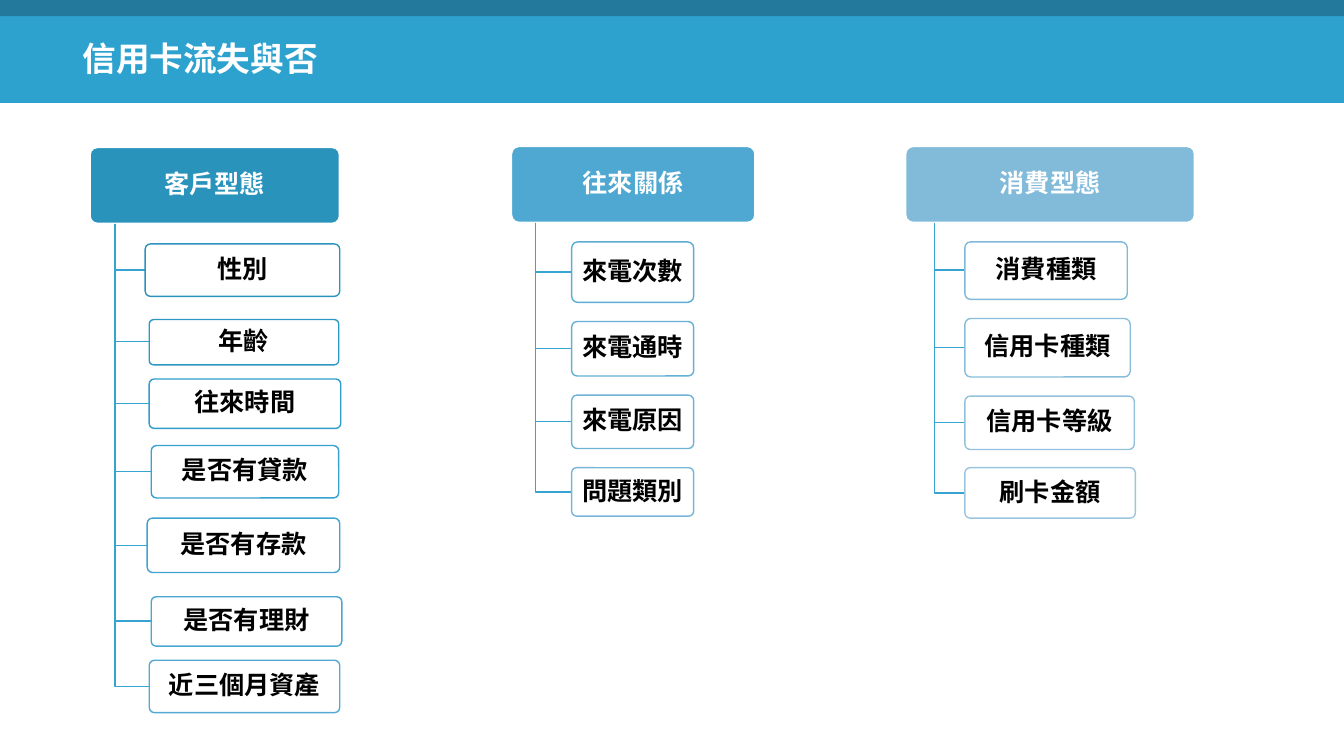
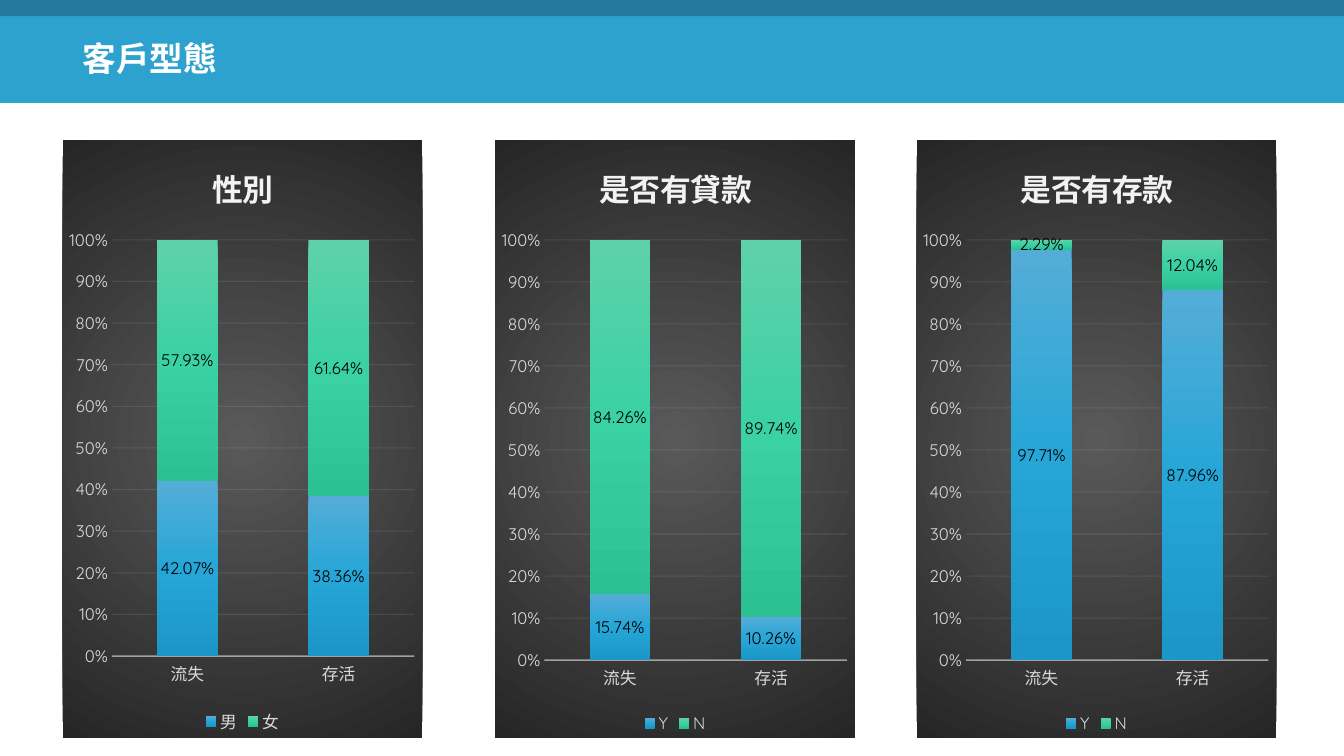
from lxml.etree import SubElement
from pptx import Presentation
from pptx.chart.data import CategoryChartData
from pptx.dml.color import RGBColor
from pptx.enum.chart import XL_CHART_TYPE, XL_LABEL_POSITION, XL_LEGEND_POSITION, XL_TICK_MARK
from pptx.enum.shapes import MSO_SHAPE
from pptx.enum.text import MSO_ANCHOR, PP_ALIGN
from pptx.oxml import parse_xml
from pptx.oxml.ns import nsdecls, qn
from pptx.util import Emu, Pt

EMU_PER_PX = 9144
PAGE_WIDTH, PAGE_HEIGHT = 1333, 750
TEXT_FONT, CHART_FONT = "Noto Sans CJK SC", "Quicksand"
WHITE, BLACK, PALE, LIGHT = "FFFFFF", "000000", "D9D9D9", "F2F2F2"
BAND, STRIP, TREE_LINE = "2EA2CF", "23799B", "37A3D0"
RADIAL = '<a:path path="circle"><a:fillToRect l="50000" t="50000" r="50000" b="50000"/></a:path>'
DOWNWARD = '<a:lin ang="5400000" scaled="0"/>'
BACKDROP = ((0, "595959"), (100, "262626"))
BLUE = ((0, "54ADD7"), (50, "26A6D7"), (100, "1B96C6"))
GREEN = ((0, "5FD1AA"), (50, "3AD1A3"), (100, "2CC193"))

TREES = [
    (("客戶型態", (89, 146, 248, 76), "2A93BC"), 114, [
        ("性別", (144, 242, 193, 52), "2A93BC"),
        ("年齡", (148, 317, 188, 45), "2D98C3"),
        ("往來時間", (148, 376, 190, 49), "309DCB"),
        ("是否有貸款", (150, 442, 186, 52), "37A1CF"),
        ("是否有存款", (146, 514, 191, 54), "40A3D0"),
        ("是否有理財", (150, 592, 189, 49), "4AA6D1"),
        ("近三個月資產", (148, 655, 189, 52), "53A9D2"),
    ]),
    (("往來關係", (507, 145, 242, 76), "4FA8D1"), 531, [
        ("來電次數", (567, 240, 121, 60), "5CACD3"),
        ("來電通時", (567, 319, 121, 54), "66AFD5"),
        ("來電原因", (567, 392, 121, 53), "6FB2D6"),
        ("問題類別", (567, 464, 121, 48), "78B6D8"),
    ]),
    (("消費型態", (898, 145, 287, 76), "82BADA"), 927, [
        ("消費種類", (957, 240, 161, 57), "81B9D9"),
        ("信用卡種類", (957, 316, 164, 58), "89BDDB"),
        ("信用卡等級", (957, 393, 168, 53), "92C1DD"),
        ("刷卡金額", (957, 464, 169, 50), "9BC5DF"),
    ]),
]
CHART_TOP, CHART_WIDTH, CHART_HEIGHT = 139, 357, 593
CHARTS = [
    (62, "性別", 413, (("男", (0.4207, 0.3836)), ("女", (0.5793, 0.6164)))),
    (491, "是否有貸款", 417, (("Y", (0.1574, 0.1026)), ("N", (0.8426, 0.8974)))),
    (909, "是否有存款", 417, (("Y", (0.9771, 0.8796)), ("N", (0.0229, 0.1204)))),
]


def px(*lengths):
    """Turn pixel lengths into EMU."""
    return [Emu(length * EMU_PER_PX) for length in lengths]


def color(value):
    """Turn a hex string into a colour."""
    return RGBColor.from_string(value)


def style_font(font, size, value, name=CHART_FONT, bold=False):
    """Set the look of a font."""
    font.size, font.name, font.bold = Pt(size), name, bold
    font.color.rgb = color(value)


def style_text(frame, text, size, value):
    """Write one bold line into a text frame."""
    frame.text = text
    span = frame.paragraphs[0].runs[0]
    style_font(span.font, size, value, TEXT_FONT, True)
    SubElement(span._r.get_or_add_rPr(), qn("a:ea"), typeface=TEXT_FONT)


def add_block(page, kind, box, fill, line=None, weight=1):
    """Add a flat filled shape."""
    block = page.shapes.add_shape(kind, *px(*box))
    block.shadow.inherit = False
    block.fill.solid()
    block.fill.fore_color.rgb = color(fill)
    if line:
        block.line.color.rgb = color(line)
        block.line.width = Pt(weight)
    else:
        block.line.fill.background()
    return block


def add_page(deck, title):
    """Add a page with the title band."""
    page = deck.slides.add_slide(deck.slide_layouts[6])
    add_block(page, MSO_SHAPE.RECTANGLE, (0, 0, PAGE_WIDTH, 102), BAND)
    add_block(page, MSO_SHAPE.RECTANGLE, (0, 0, PAGE_WIDTH, 16), STRIP)
    frame = page.shapes.add_textbox(*px(72, 29, 580, 58)).text_frame
    frame.word_wrap = True
    frame.vertical_anchor = MSO_ANCHOR.MIDDLE
    style_text(frame, title, 24, WHITE)
    return page


def add_node(page, text, box, fill, line, weight, text_color):
    """Add a rounded label of the tree."""
    node = add_block(page, MSO_SHAPE.ROUNDED_RECTANGLE, box, fill, line, weight)
    node.adjustments[0] = 0.1
    frame = node.text_frame
    frame.word_wrap = True
    frame.vertical_anchor = MSO_ANCHOR.MIDDLE
    frame.margin_left, frame.margin_top, frame.margin_right, frame.margin_bottom = px(5, 4, 5, 4)
    style_text(frame, text, 18, text_color)
    frame.paragraphs[0].alignment = PP_ALIGN.CENTER
    frame.paragraphs[0].line_spacing = 0.9


def add_elbow(page, trunk, top, right, middle):
    """Add an open outline that runs down and then right to a leaf."""
    outline = page.shapes.build_freeform(trunk, top, scale=EMU_PER_PX)
    outline.add_line_segments([(trunk, middle), (right, middle)], close=False)
    elbow = outline.convert_to_shape()
    elbow.shadow.inherit = False
    elbow.fill.background()
    elbow.line.color.rgb = color(TREE_LINE)
    elbow.line.width = Pt(1)


def add_tree(page, header, trunk, leaves):
    """Add a header with its leaves hung on a trunk."""
    text, box, fill = header
    add_node(page, text, box, fill, WHITE, 1.5, WHITE)
    for text, (left, top, width, height), line in leaves:
        add_elbow(page, trunk, box[1] + box[3], left, top + height // 2)
        add_node(page, text, (left, top, width, height), WHITE, line, 1, BLACK)


def gradient(stops, direction):
    """Make a gradient fill element."""
    marks = "".join(
        f'<a:gs pos="{place * 1000}"><a:srgbClr val="{value}"/></a:gs>' for place, value in stops
    )
    return parse_xml(f'<a:gradFill {nsdecls("a")}><a:gsLst>{marks}</a:gsLst>{direction}</a:gradFill>')


def set_layout(parent, target="", **places):
    """Fix the place of a chart part, in px from the chart's corner."""
    old = parent.find(qn("c:layout"))
    if old is not None:
        parent.remove(old)
    sizes = {"x": CHART_WIDTH, "y": CHART_HEIGHT, "w": CHART_WIDTH, "h": CHART_HEIGHT}
    inner = f'<c:layoutTarget val="{target}"/>' if target else ""
    inner += "".join(f'<c:{side}Mode val="edge"/>' for side in "xy")
    inner += "".join(f'<c:{side} val="{place / sizes[side]}"/>' for side, place in places.items())
    layout = parse_xml(
        f'<c:layout {nsdecls("c")}><c:manualLayout>{inner}</c:manualLayout></c:layout>'
    )
    parent.insert(len(parent.findall(qn("c:tx"))), layout)


def style_line(line, width, chart, place, opacity):
    """Give a chart line a see-through light colour."""
    line.color.rgb = color(LIGHT)
    line.width = Pt(width)
    for shade in chart.element.xpath(f"c:chart/c:plotArea/{place}/c:spPr//a:srgbClr"):
        SubElement(shade, qn("a:alpha"), val=str(opacity * 1000))


def style_axes(chart):
    """Style both axes and the grid."""
    for axis in (chart.category_axis, chart.value_axis):
        axis.major_tick_mark = axis.minor_tick_mark = XL_TICK_MARK.NONE
        style_font(axis.tick_labels.font, 12, PALE)
    style_line(chart.category_axis.format.line, 1, chart, "c:catAx", 54)
    values = chart.value_axis
    values.major_unit = 0.1
    values.format.line.fill.background()
    values.tick_labels.number_format = "0%"
    values.tick_labels.number_format_is_linked = False
    style_line(values.major_gridlines.format.line, 0.75, chart, "c:valAx/c:majorGridlines", 10)


def style_series(series, stops):
    """Fill one series and label its values."""
    series.format.fill.background()
    empty = next(series._element.iter(qn("a:noFill")))
    empty.getparent().replace(empty, gradient(stops, DOWNWARD))
    labels = series.data_labels
    labels.show_value = True
    labels.position = XL_LABEL_POSITION.CENTER
    labels.number_format = "0.00%"
    labels.number_format_is_linked = False
    style_font(labels.font, 12, BLACK)


def add_share_chart(page, left, title, plot_height, groups):
    """Add a dark stacked chart of shares."""
    data = CategoryChartData(number_format="0.00%")
    data.categories = ["流失", "存活"]
    for name, values in groups:
        data.add_series(name, values)
    box = px(left, CHART_TOP, CHART_WIDTH, CHART_HEIGHT)
    chart = page.shapes.add_chart(XL_CHART_TYPE.COLUMN_STACKED_100, *box, data).chart
    style_font(chart.font, 10, BLACK)
    chart.has_title = True
    style_text(chart.chart_title.text_frame, title, 22, LIGHT)
    chart.chart_title.include_in_layout = False
    set_layout(chart.element.xpath("c:chart/c:title")[0], x=173 - 15 * len(title), y=16)
    plot_area = chart.element.xpath("c:chart/c:plotArea")[0]
    set_layout(plot_area, "inner", x=49, y=99, w=300, h=plot_height)
    chart.has_legend = True
    chart.legend.position = XL_LEGEND_POSITION.BOTTOM
    chart.legend.include_in_layout = False
    style_font(chart.legend.font, 12, PALE)
    plot = chart.plots[0]
    plot.gap_width, plot.overlap, plot.vary_by_categories = 150, 100, False
    for series, stops in zip(plot.series, (BLUE, GREEN)):
        style_series(series, stops)
    style_axes(chart)
    backdrop = parse_xml(f'<c:spPr {nsdecls("c", "a")}><a:ln><a:noFill/></a:ln></c:spPr>')
    backdrop.insert(0, gradient(BACKDROP, RADIAL))
    chart.element.find(qn("c:chart")).addnext(backdrop)


def main():
    """Build and save the deck."""
    deck = Presentation()
    deck.slide_width, deck.slide_height = px(PAGE_WIDTH, PAGE_HEIGHT)
    page = add_page(deck, "信用卡流失與否")
    for tree in TREES:
        add_tree(page, *tree)
    page = add_page(deck, "客戶型態")
    for chart in CHARTS:
        add_share_chart(page, *chart)
    deck.save("out.pptx")


if __name__ == "__main__":
    main()
